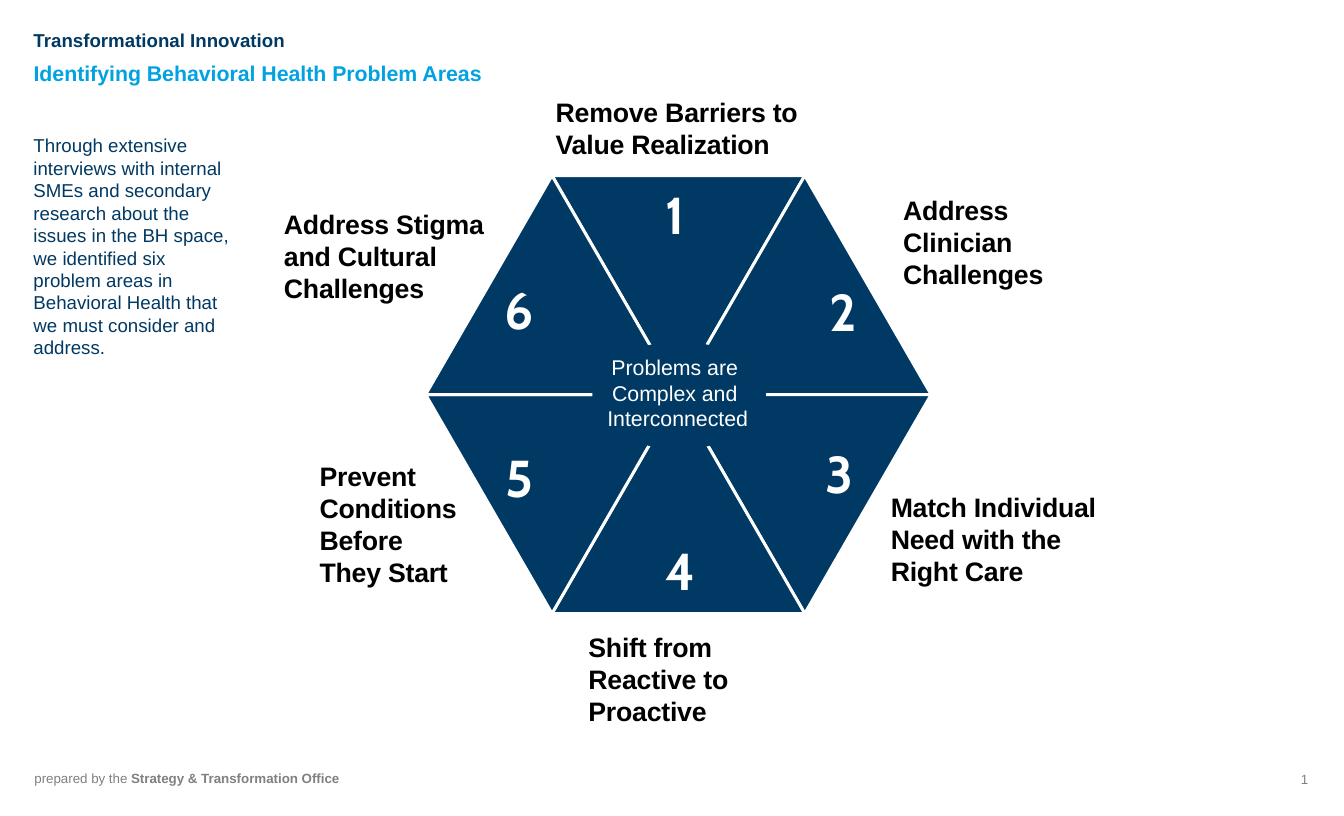
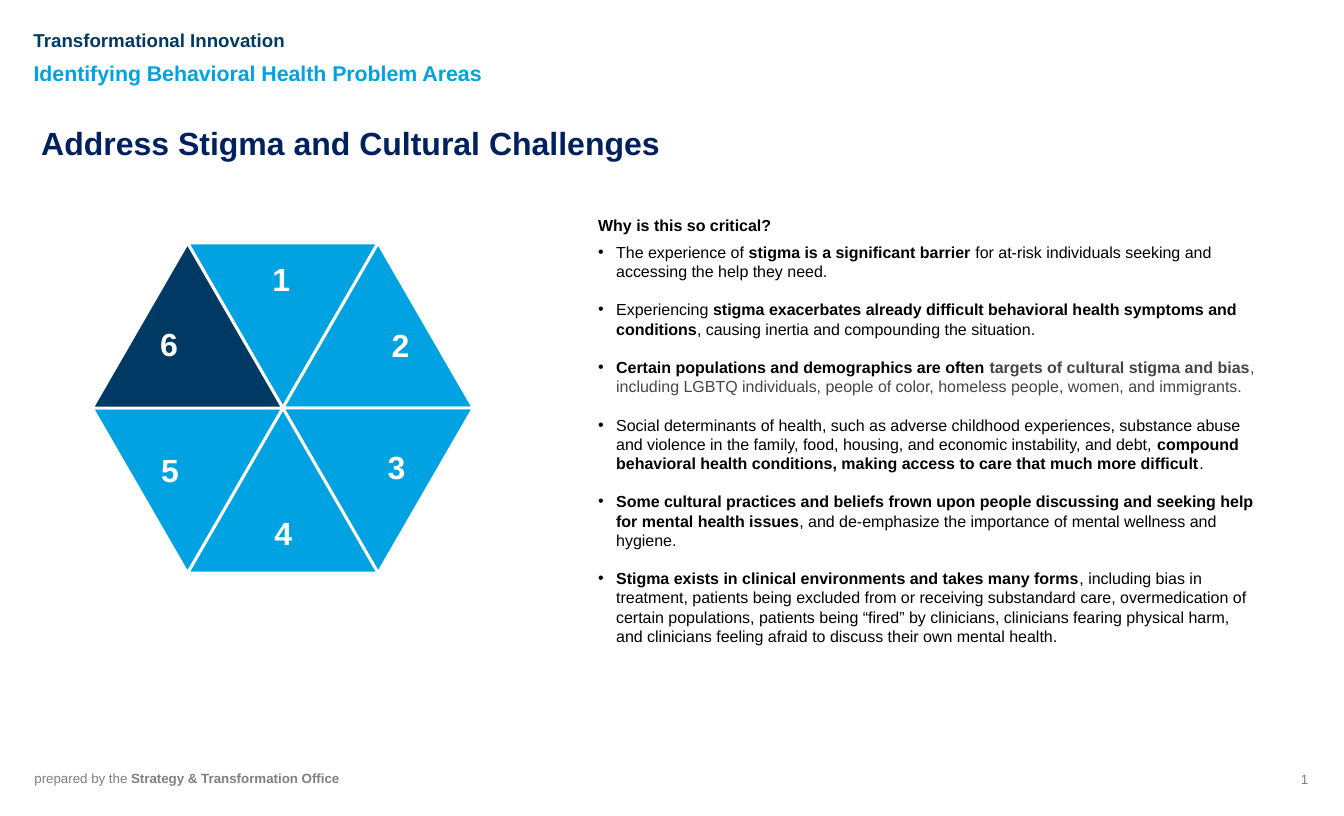
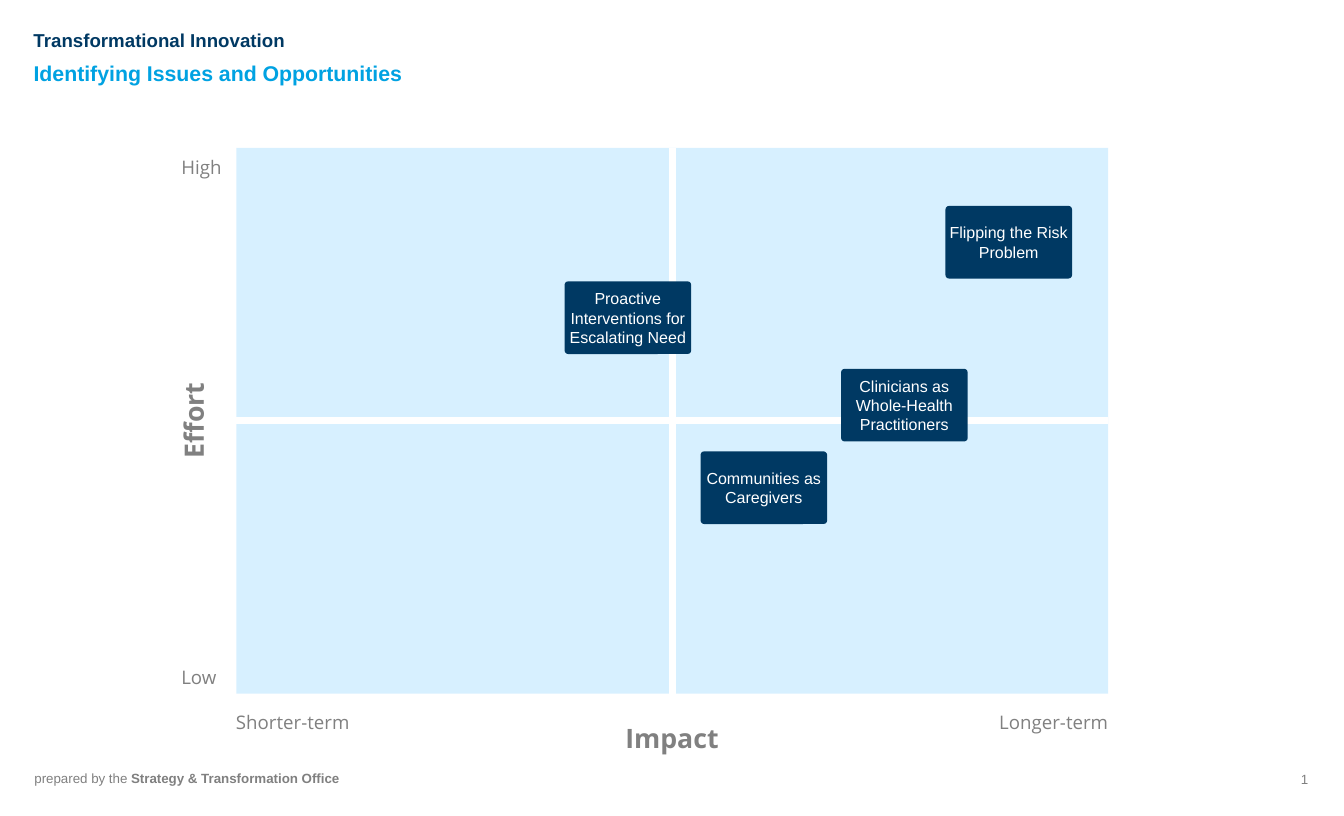
import math
import lxml.etree
import pptx
import pptx.dml.color
import pptx.enum.shapes
import pptx.enum.text
import pptx.oxml.ns
import pptx.util

Pt = pptx.util.Pt
ALIGN = pptx.enum.text.PP_ALIGN
ANCHOR = pptx.enum.text.MSO_ANCHOR
FIT = pptx.enum.text.MSO_AUTO_SIZE
SHAPE = pptx.enum.shapes.MSO_SHAPE
LINE = pptx.enum.shapes.MSO_CONNECTOR
qn = pptx.oxml.ns.qn


class Theme:
    navy, sky, pale, deep = "003963", "00A2E2", "B1E2FF", "002060"
    white, black, gray, dark = "FFFFFF", "000000", "808080", "454545"
    foot = dict(name="Arial", size=10, color=gray)
    brand = dict(name="Arial", size=14, color=navy, bold=True)
    title = dict(name="Arial", size=16, color=sky, bold=True)
    head = dict(name="Arial", size=24, color=deep, bold=True)
    intro = dict(name="Arial", size=14, color=navy)
    label = dict(name="Arial", size=20, color=black, bold=True, spc=-20)
    hub = dict(name="Arial", size=16, color=white)
    big = dict(name="Cabin", size=38.9, color=white, bold=True, spc=-150)
    small = dict(name="Arial", size=24, color=white, bold=True, spc=-150)
    list = dict(name="Arial", size=12, color=black)
    card = dict(name="Arial", size=12, color=white)
    axis = dict(name="Open Sans", size=20, color=gray, bold=True)
    tick = dict(name="Open Sans", size=14, color=gray)


# Content. Boxes are (left, top, width, height) in points.
BAND = [
    ([("1", {})], (967, 574.6, 23, 19.4), Theme.foot, ALIGN.CENTER),
    ([("prepared by the ", {}), ("Strategy & Transformation Office", {"bold": True})],
     (18.7, 573.8, 267.1, 19.4), Theme.foot, ALIGN.LEFT),
    ([("Transformational Innovation", {})], (18, 18, 210.2, 24.5), Theme.brand, ALIGN.LEFT),
]
AREAS = "Identifying Behavioral Health Problem Areas"
ISSUES = "Identifying Issues and Opportunities"
INTRO = ("Through extensive interviews with internal SMEs and secondary research "
         "about the issues in the BH space, we identified six problem areas in "
         "Behavioral Health that we must consider and address.")
HUB = "Problems are \nComplex and \nInterconnected"
LABELS = [
    ("Address Clinician \nChallenges", (670.3, 141.1, 130.3, 79.9)),
    ("Remove Barriers to Value Realization", (409.7, 68.4, 218.9, 55.4)),
    ("Shift from Reactive to Proactive", (434.2, 468.7, 164.2, 79.9)),
    ("Address Stigma \nand Cultural Challenges", (205.9, 151.2, 170.6, 79.9)),
    ("Prevent Conditions\nBefore \nThey Start", (232.6, 339.8, 175.7, 104.4)),
    ("Match Individual Need with the Right Care", (661, 363.6, 177.1, 79.9)),
]
# Centres of the digits 1 to 6
WHEEL = dict(mid=(508.8, 295.9), side=189.6, cell=(33.8, 54), font=Theme.big,
             spots=[(506.5, 160.2), (631.8, 232.9), (628.9, 354.6),
                    (508.7, 427.3), (389.2, 357.5), (388.4, 231.5)])
DIAL = dict(mid=(212.1, 306), side=143, cell=(26.6, 36), font=Theme.small,
            spots=[(210.6, 208.8), (299.9, 258.5), (297, 349.9),
                   (212, 399.6), (127.1, 352.1), (126.4, 257.8)])

HEAD = "Address Stigma and Cultural Challenges"
BOLD = {"bold": True}
DARK = {"color": Theme.dark}
WHY = "Why is this so critical?"
POINTS = [
    [("The experience of ", {}), ("stigma is a significant barrier ", BOLD),
     ("for at-risk individuals seeking and accessing the help they need.", {})],
    [("Experiencing ", {}),
     ("stigma exacerbates already difficult behavioral health symptoms and conditions", BOLD),
     (", causing inertia and compounding the situation.", {})],
    [("Certain populations and demographics are often ", BOLD),
     ("targets of cultural stigma and bias", BOLD | DARK),
     (", including LGBTQ individuals, people of color, homeless people, women, "
      "and immigrants.", DARK)],
    [("Social determinants of health, such as adverse childhood experiences, substance "
      "abuse and violence in the family, food, housing, and economic instability, "
      "and debt, ", {}),
     ("compound behavioral health conditions, making access to care that much more "
      "difficult", BOLD), (".", {})],
    [("Some cultural practices and beliefs frown upon people discussing and seeking help "
      "for mental health issues", BOLD),
     (", and de-emphasize the importance of mental wellness and hygiene.", {})],
    [("Stigma exists in clinical environments and takes many forms", BOLD),
     (", including bias in treatment, patients being excluded from or receiving "
      "substandard care, overmedication of certain populations, patients being “fired” "
      "by clinicians, clinicians fearing physical harm, and clinicians feeling afraid "
      "to discuss their own mental health.", {})],
]

GRID = (177.3, 110.9, 653.9, 409.4)
CARD = (95, 54.5)
CARDS = [
    ("Clinicians as Whole-Health Practitioners", 630.8, 276.6),
    ("Communities as Caregivers", 525.4, 338.5),
    ("Proactive Interventions for Escalating Need", 423.4, 211),
    ("Flipping the Risk Problem", 709.1, 154.4),
]
AXES = [
    ("Impact", (461.5, 537.8, 85, 31.7), 0, ANCHOR.TOP),
    ("Effort", (108.7, 299.5, 72, 31.7), 270, ANCHOR.BOTTOM),
]
TICKS = [
    ("Shorter-term", (169.9, 529.9, 100.8, 24.5)),
    ("Longer-term", (742.3, 529.9, 97.2, 24.5)),
    ("Low", (128.9, 496.1, 41, 24.5)),
    ("High", (128.9, 113, 44.6, 24.5)),
]


def rgb(code):
    return pptx.dml.color.RGBColor.from_string(code)


def apply(thing, values):
    for key, value in values.items():
        setattr(thing, key, value)


def style(run, form):
    """Set a run's font from a dict of format values."""
    for key, value in form.items():
        if key == "color":
            run.font.color.rgb = rgb(value)
        elif key == "spc":
            run.font._element.set("spc", str(value))
        else:
            setattr(run.font, key, Pt(value) if key == "size" else value)


def write(para, runs, form, **look):
    for text, extra in runs:
        run = para.add_run()
        run.text = text
        style(run, {"bold": False} | form | extra)
    apply(para, look)


def fill(frame, text, form, align=ALIGN.LEFT, **look):
    """Write text, one paragraph a line, or a list of runs into a frame."""
    apply(frame, dict(word_wrap=True, auto_size=FIT.SHAPE_TO_FIT_TEXT,
                      vertical_anchor=ANCHOR.TOP) | look)
    rows = [[(row, {})] for row in text.split("\n")] if isinstance(text, str) else [text]
    for i, runs in enumerate(rows):
        para = frame.add_paragraph() if i else frame.paragraphs[0]
        write(para, runs, form, alignment=align)


def place(shape, box):
    apply(shape, dict(zip(("left", "top", "width", "height"), map(Pt, box))))


def note(slide, text, box, form, align=ALIGN.LEFT, **look):
    shape = slide.shapes.add_textbox(*map(Pt, box))
    fill(shape.text_frame, text, form, align, **look)
    return shape


def paint(shape, color, edge=None):
    shape.shadow.inherit = False
    shape.fill.solid()
    shape.fill.fore_color.rgb = rgb(color)
    if edge:
        shape.line.color.rgb = rgb(edge)
        shape.line.width = Pt(2.25)
    else:
        shape.line.fill.background()


def block(slide, kind, box, color):
    shape = slide.shapes.add_shape(kind, *map(Pt, box))
    paint(shape, color)
    return shape


def wheel(slide, mid, side, cell, font, spots, color, accent=None):
    """Draw six numbered wedges; accent maps a number to its own colour."""
    def rim(turn):
        angle = math.radians(60 * turn - 120)
        return (Pt(mid[0] + side * math.cos(angle)), Pt(mid[1] + side * math.sin(angle)))

    for i in range(6):
        pen = slide.shapes.build_freeform(Pt(mid[0]), Pt(mid[1]), scale=1.0)
        pen.add_line_segments([rim(i), rim(i + 1)], close=True)
        paint(pen.convert_to_shape(), (accent or {}).get(i + 1, color), Theme.white)
    wide, high = cell
    for i, (x, y) in enumerate(spots, 1):
        note(slide, str(i), (x - wide / 2, y - high / 2, wide, high), font,
             ALIGN.CENTER, word_wrap=False, vertical_anchor=ANCHOR.MIDDLE)


def rule(slide, *ends):
    line = slide.shapes.add_connector(LINE.STRAIGHT, *map(Pt, ends))
    line.line.color.rgb = rgb(Theme.white)
    line.line.width = Pt(5)
    lxml.etree.SubElement(line.element.spPr, qn("a:effectLst"))


def bullet(para, mark=None):
    """Give a paragraph a hanging bullet, or none."""
    props = para._p.get_or_add_pPr()
    hang = Pt(13.5) if mark else 0
    props.set("marL", str(hang))
    props.set("indent", str(-hang))
    if mark:
        lxml.etree.SubElement(props, qn("a:buFont"), typeface="Arial")
        lxml.etree.SubElement(props, qn("a:buChar"), char=mark)
    else:
        lxml.etree.SubElement(props, qn("a:buNone"))


def start(deck, layout, title):
    slide = deck.slides.add_slide(deck.slide_layouts[layout])
    place(slide.shapes.title, (18, 41.8, 532.8, 26.6))
    fill(slide.shapes.title.text_frame, title, Theme.title)
    return slide


def band(deck, slide):
    """Move the shared header and footer texts to the slide master."""
    for i, (runs, box, form, align) in enumerate(BAND):
        item = note(slide, runs, box, form, align).element
        item.xpath("./p:nvSpPr/p:cNvPr")[0].set("id", str(100 + i))
        deck.slide_master.shapes.element.append(item)


def areas(deck):
    slide = start(deck, 5, AREAS)
    band(deck, slide)
    wheel(slide, **WHEEL, color=Theme.navy)
    block(slide, SHAPE.OVAL, (444.2, 256.3, 130.3, 80.6), Theme.navy)
    for text, box in LABELS:
        note(slide, text, box, Theme.label, vertical_anchor=ANCHOR.BOTTOM)
    note(slide, HUB, (403.2, 261.4, 210.2, 65.5), Theme.hub, ALIGN.CENTER,
         vertical_anchor=ANCHOR.BOTTOM)
    note(slide, INTRO, (18, 97.2, 167, 177.1), Theme.intro)


def stigma(deck):
    slide = start(deck, 1, AREAS)
    note(slide, HEAD, (23.8, 89.3, 488.2, 36), Theme.head)
    body = slide.placeholders[1]
    place(body, (441.4, 157.7, 509.8, 352.8))
    frame = body.text_frame
    apply(frame, dict(word_wrap=True, auto_size=FIT.NONE, vertical_anchor=ANCHOR.TOP))
    bullet(frame.paragraphs[0])
    write(frame.paragraphs[0], [(WHY, BOLD)], Theme.list,
          space_before=Pt(0), space_after=Pt(6))
    for i, runs in enumerate(POINTS):
        para = frame.add_paragraph()
        bullet(para, "•")
        write(para, runs, Theme.list, space_before=Pt(14.4 if i else 0))
    wheel(slide, **DIAL, color=Theme.sky, accent={6: Theme.navy})


def matrix(deck):
    slide = start(deck, 5, ISSUES)
    field = block(slide, SHAPE.RECTANGLE, GRID, Theme.pale)
    tint = field.element.spPr.find(qn("a:solidFill"))[0]
    lxml.etree.SubElement(tint, qn("a:alpha"), val="50000")
    left, top, wide, high = GRID
    rule(slide, left, top + high / 2, left + wide, top + high / 2)
    rule(slide, left + wide / 2, top, left + wide / 2, top + high)
    for text, box, turn, anchor in AXES:
        name = note(slide, text, box, Theme.axis, ALIGN.CENTER,
                    word_wrap=False, vertical_anchor=anchor)
        name.rotation = turn
    for text, x, y in CARDS:
        card = block(slide, SHAPE.ROUNDED_RECTANGLE, (x, y, *CARD), Theme.navy)
        card.adjustments[0] = 0.05
        sides = ("left", "right", "top", "bottom")
        fill(card.text_frame, text, Theme.card, ALIGN.CENTER, auto_size=FIT.NONE,
             vertical_anchor=ANCHOR.MIDDLE,
             **{"margin_" + side: Pt(1.44) for side in sides})
    for text, box in TICKS:
        note(slide, text, box, Theme.tick, word_wrap=False)


def main():
    deck = pptx.Presentation()
    apply(deck, dict(slide_width=Pt(1008), slide_height=Pt(612)))
    for build in (areas, stigma, matrix):
        build(deck)
    deck.save("out.pptx")


if __name__ == "__main__":
    main()
